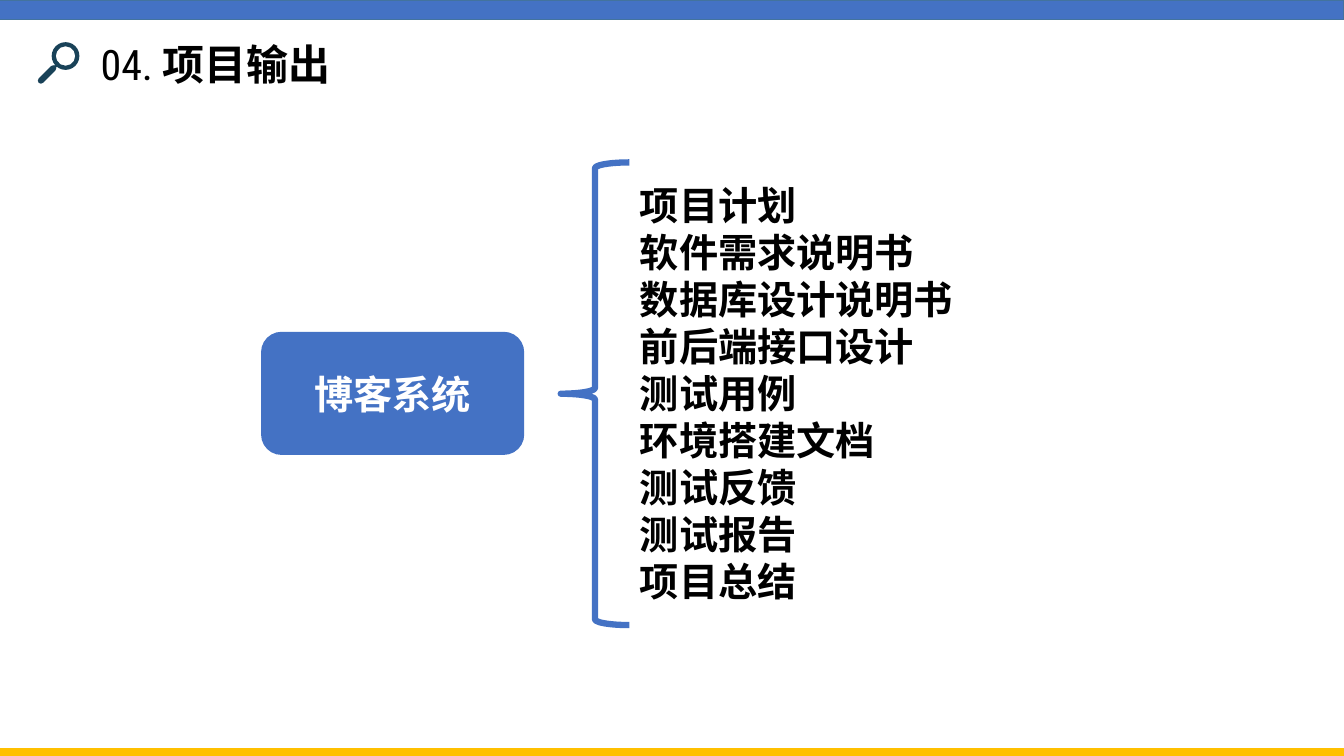
from lxml.etree import SubElement
from pptx import Presentation
from pptx.dml.color import RGBColor
from pptx.enum.shapes import MSO_CONNECTOR, MSO_SHAPE
from pptx.enum.text import MSO_ANCHOR, PP_ALIGN
from pptx.oxml.ns import qn
from pptx.util import Pt

COLOURS = {
    "blue": "4472C4",
    "edge": "43739E",
    "gold": "FFC000",
    "navy": "194258",
    "black": "000000",
    "white": "FFFFFF",
}
HAN = "Noto Sans CJK SC"
SERIF = "Times New Roman"
WIDTH, HEIGHT = 960, 540
OUTPUTS = [
    "项目计划", "软件需求说明书", "数据库设计说明书", "前后端接口设计", "测试用例",
    "环境搭建文档", "测试反馈", "测试报告", "项目总结",
]


def colour(name):
    return RGBColor.from_string(COLOURS[name])


def write(paragraph, text, size=28, font=SERIF, ink="black", bold=True,
          align=PP_ALIGN.LEFT, leading=None):
    paragraph.alignment = align
    if leading:
        paragraph.line_spacing = Pt(leading)
    run = paragraph.add_run()
    run.text = text
    run.font.size = Pt(size)
    run.font.name = font
    run.font.bold = bold
    run.font.color.rgb = colour(ink)
    SubElement(run.font._element, qn("a:ea"), typeface=HAN)


class Page:
    def __init__(self, slide):
        self.shapes = slide.shapes

    def shape(self, kind, left, top, width, height, fill=None, line=None, weight=1):
        shape = self.shapes.add_shape(kind, Pt(left), Pt(top), Pt(width), Pt(height))
        shape.shadow.inherit = False
        if fill:
            shape.fill.solid()
            shape.fill.fore_color.rgb = colour(fill)
        else:
            shape.fill.background()
        if line:
            shape.line.color.rgb = colour(line)
            shape.line.width = Pt(weight)
        else:
            shape.line.fill.background()
        return shape

    def text(self, left, top, width, height, anchor=MSO_ANCHOR.TOP):
        frame = self.shapes.add_textbox(Pt(left), Pt(top), Pt(width), Pt(height)).text_frame
        frame.word_wrap = True
        frame.vertical_anchor = anchor
        return frame

    def stroke(self, start, end, ink, weight):
        stroke = self.shapes.add_connector(
            MSO_CONNECTOR.STRAIGHT, *map(Pt, start), *map(Pt, end))
        stroke.line.color.rgb = colour(ink)
        stroke.line.width = Pt(weight)
        stroke.line._ln.set("cap", "rnd")
        SubElement(stroke._element.spPr, qn("a:effectLst"))

    def magnifier(self):
        lens = self.shape(MSO_SHAPE.DONUT, 36.9, 30.1, 19.8, 19.8, fill="navy")
        lens.adjustments[0] = 0.15
        self.stroke((39, 48), (41, 46), "navy", 2)
        self.stroke((29.2, 57.6), (38, 48.8), "navy", 4.4)


def main():
    deck = Presentation()
    deck.slide_width, deck.slide_height = Pt(WIDTH), Pt(HEIGHT)
    page = Page(deck.slides.add_slide(deck.slide_layouts[6]))

    heading = page.text(64.8, 23.8, 432, 43.2, MSO_ANCHOR.MIDDLE).paragraphs[0]
    write(heading, "04.", size=30, font="Roboto Condensed", bold=False)
    write(heading, " 项目输出", size=30, font=HAN)

    page.shape(MSO_SHAPE.RECTANGLE, -1, 0, WIDTH + 1, 14, fill="blue", line="edge")
    page.shape(MSO_SHAPE.RECTANGLE, -1, 534.5, WIDTH + 1, 5.5, fill="gold", line="gold")

    system = page.shape(MSO_SHAPE.ROUNDED_RECTANGLE, 186.5, 237, 188, 88, fill="blue")
    system.text_frame.vertical_anchor = MSO_ANCHOR.MIDDLE
    write(system.text_frame.paragraphs[0], "博客系统", ink="white", align=PP_ALIGN.CENTER)

    outputs = page.text(450, 126, 278, 312)
    for index, output in enumerate(OUTPUTS):
        paragraph = outputs.add_paragraph() if index else outputs.paragraphs[0]
        write(paragraph, output, leading=33.6)

    page.shape(MSO_SHAPE.LEFT_BRACE, 400.5, 116, 49, 330.5, line="blue", weight=4.5)
    page.magnifier()
    deck.save("out.pptx")


if __name__ == "__main__":
    main()
